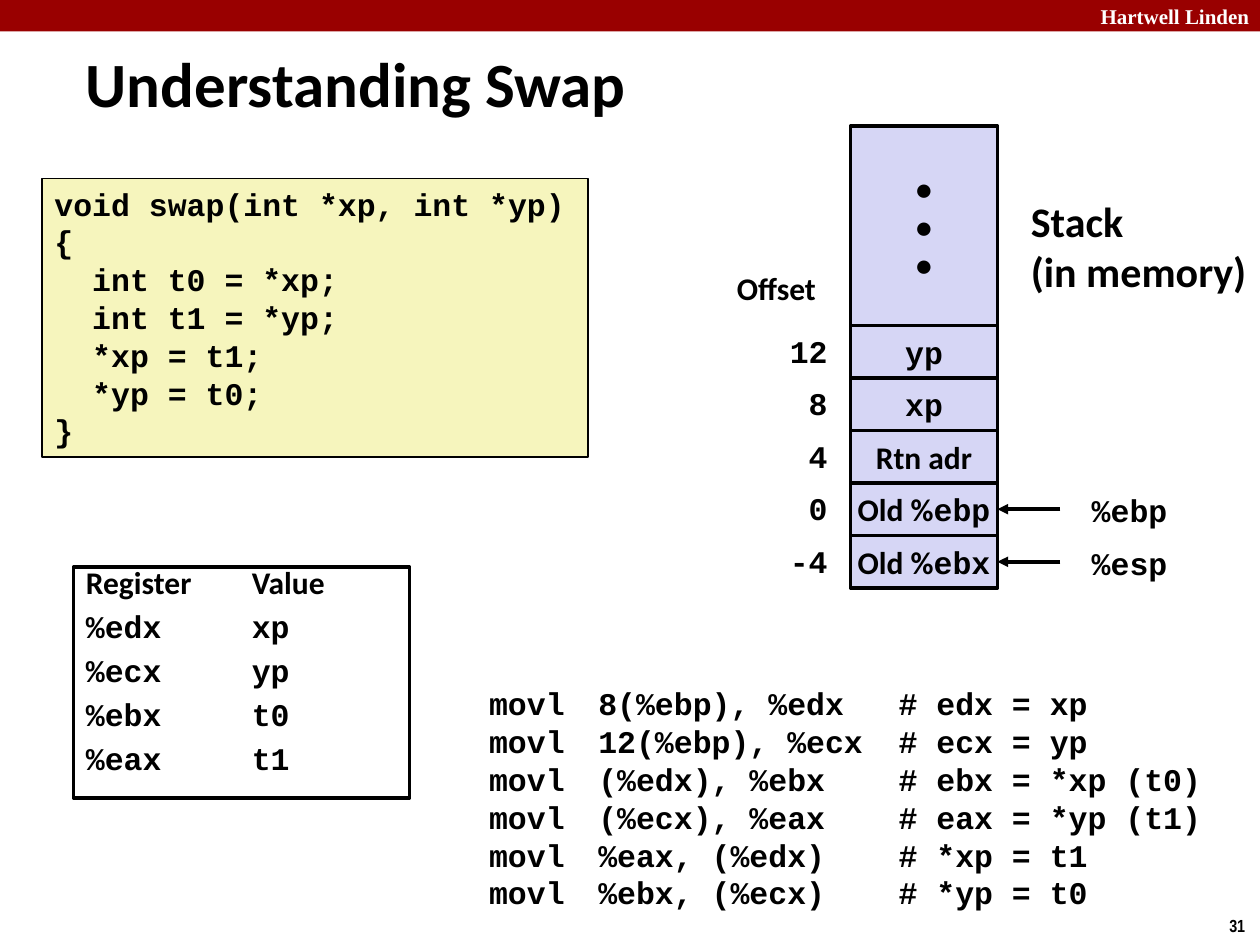
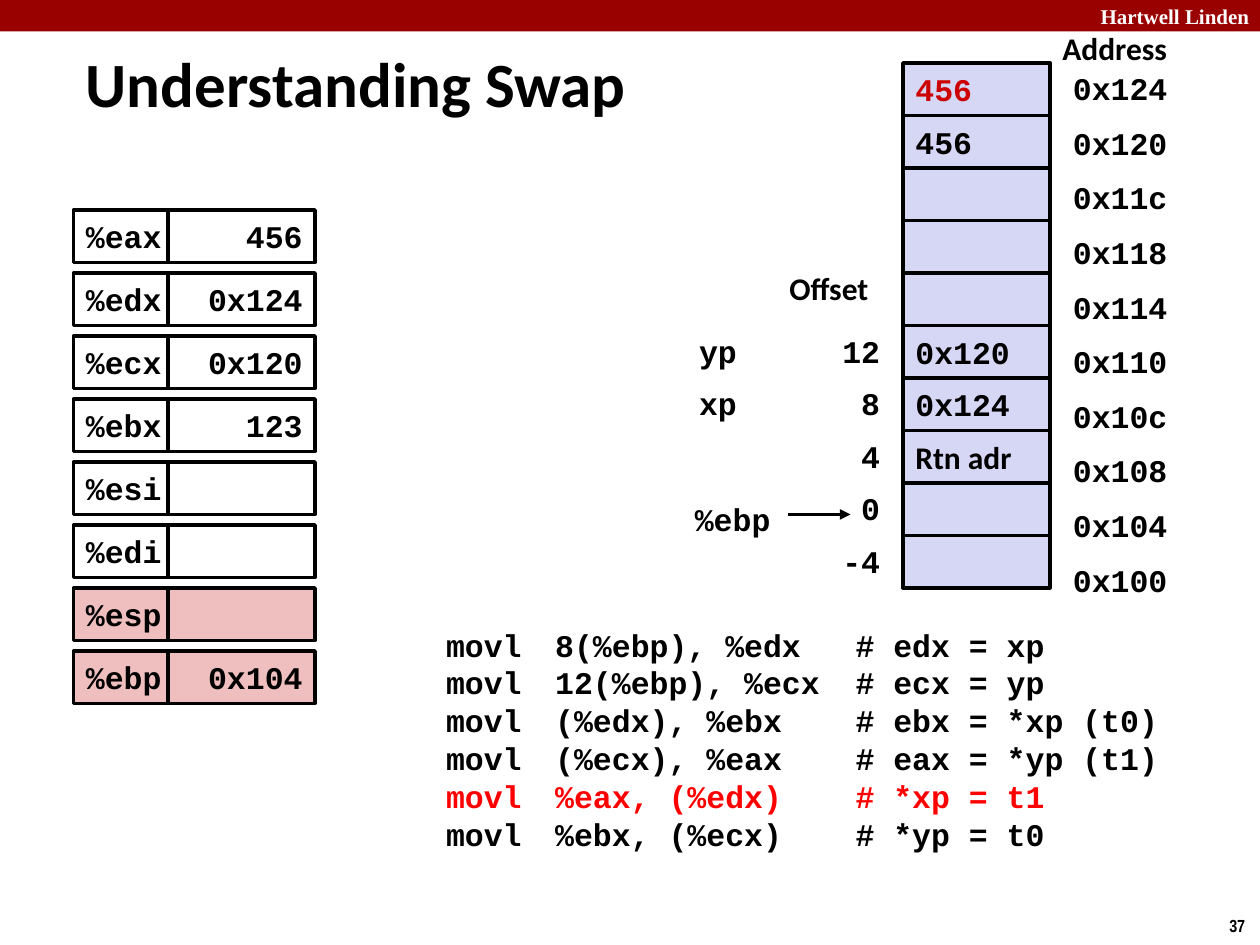
from pptx import Presentation
from pptx.dml.color import RGBColor
from pptx.enum.shapes import MSO_CONNECTOR, MSO_SHAPE
from pptx.enum.text import MSO_ANCHOR, PP_ALIGN
from pptx.oxml.ns import qn
from pptx.oxml.xmlchemy import OxmlElement
from pptx.util import Pt

PX = 7620
RECT = MSO_SHAPE.RECTANGLE
STRAIGHT = MSO_CONNECTOR.STRAIGHT
TOP, MIDDLE = MSO_ANCHOR.TOP, MSO_ANCHOR.MIDDLE
LEFT, CENTER, RIGHT = PP_ALIGN.LEFT, PP_ALIGN.CENTER, PP_ALIGN.RIGHT

BLACK = RGBColor(0x00, 0x00, 0x00)
WHITE = RGBColor(0xFF, 0xFF, 0xFF)
BAND_RED = RGBColor(0x99, 0x00, 0x00)
CODE_YELLOW = RGBColor(0xF6, 0xF5, 0xBD)
STACK_BLUE = RGBColor(0xD6, 0xD6, 0xF5)
POINTER_PINK = RGBColor(0xEF, 0xBF, 0xBF)
CHANGED_RED = RGBColor(0xCC, 0x00, 0x00)
CURRENT_RED = RGBColor(0xFF, 0x00, 0x00)

CODE = {"name": "Courier New", "size": Pt(18), "bold": True}
LABEL = {**CODE, "name": "Calibri"}
HEADING = {**LABEL, "size": Pt(24)}
TITLE = {**LABEL, "size": Pt(36)}
BRAND = {"name": "Times New Roman", "size": Pt(12), "bold": True, "color": WHITE}
PAGE = {"name": "Arial Narrow", "size": Pt(10), "bold": True}

ROW, CELL_WIDTH, LABEL_HEIGHT = 50, 140, 48
OFFSETS = ["12", "8", "4", "0", "-4"]
ASSEMBLY = [
    "movl\t8(%ebp), %edx\t# edx = xp",
    "movl\t12(%ebp), %ecx\t# ecx = yp",
    "movl\t(%edx), %ebx\t# ebx = *xp (t0)",
    "movl\t(%ecx), %eax\t# eax = *yp (t1)",
    "movl\t%eax, (%edx)\t# *xp = t1",
    "movl\t%ebx, (%ecx)\t# *yp = t0",
]
SWAP_SOURCE = [
    (0, "void swap(int *xp, int *yp)"),
    (0, "{"),
    (1, "int t0 = *xp;"),
    (1, "int t1 = *yp;"),
    (1, "*xp = t1;"),
    (1, "*yp = t0;"),
    (0, "}"),
]
REGISTER_ROLES = ["%edx\txp", "%ecx\typ", "%ebx\tt0", "%eax\tt1"]
REGISTERS = {
    "%eax": "456", "%edx": "0x124", "%ecx": "0x120", "%ebx": "123",
    "%esi": "", "%edi": "", "%esp": "", "%ebp": "0x104",
}
POINTERS = ("%esp", "%ebp")


def assign(target, values):
    """Set each named attribute of the target."""
    for name, value in values.items():
        setattr(target, name, value)


def write(shape, paragraphs, anchor=TOP, wrap=True, tabs=(), **layout):
    """Fill a shape with paragraphs, each a list of (text, style) runs."""
    frame = shape.text_frame
    assign(frame, {"word_wrap": wrap, "vertical_anchor": anchor})
    for index, runs in enumerate(paragraphs):
        paragraph = frame.paragraphs[0] if index == 0 else frame.add_paragraph()
        assign(paragraph, {"alignment": LEFT, **layout})
        if tabs:
            stops = OxmlElement("a:tabLst")
            for position in tabs:
                stop = OxmlElement("a:tab")
                stop.set("pos", str(position * PX))
                stop.set("algn", "l")
                stops.append(stop)
            paragraph._p.get_or_add_pPr().append(stops)
        for text, style in runs:
            run = paragraph.add_run()
            run.text = text
            assign(run.font, {k: v for k, v in style.items() if k != "color"})
            run.font.color.rgb = style.get("color", BLACK)
    return frame


def label(slide, box, text, style=CODE, **options):
    """Place one line or several lines of free text in a box."""
    area = slide.shapes.add_textbox(*(length * PX for length in box))
    return write(area, [[(line, style)] for line in text.split("\n")], **options)


def panel(slide, box, fill=None, line=2):
    """Draw a flat rectangle with an optional fill and outline."""
    shape = slide.shapes.add_shape(RECT, *(length * PX for length in box))
    shape.shadow.inherit = False
    if fill is None:
        shape.fill.background()
    else:
        shape.fill.solid()
        shape.fill.fore_color.rgb = fill
    if line:
        shape.line.color.rgb = BLACK
        shape.line.width = Pt(line)
    else:
        shape.line.fill.background()
    return shape


def arrow(slide, start, end, y):
    """Draw a level arrow from start to end."""
    points = (start, y, end, y)
    connector = slide.shapes.add_connector(STRAIGHT, *(p * PX for p in points))
    connector.line.color.rgb = BLACK
    connector.line.width = Pt(2)
    properties = connector.element.spPr
    head = OxmlElement("a:tailEnd")
    head.set("type", "triangle")
    properties.find(qn("a:ln")).append(head)
    properties.append(OxmlElement("a:effectLst"))


def base_slide(deck, number):
    """Add a slide with the band, title and page number."""
    slide = deck.slides.add_slide(deck.slide_layouts[6])
    band = panel(slide, (0, 0, 1200, 30), BAND_RED, line=0)
    frame = write(band, [[("Hartwell Linden", BRAND)]], MIDDLE, alignment=RIGHT)
    assign(frame, {"margin_top": 0, "margin_bottom": 0, "margin_right": 10 * PX})
    label(slide, (70, 40, 836, 76), "Understanding Swap", TITLE, anchor=MIDDLE)
    label(slide, (1159, 866, 41, 32), str(number), PAGE)
    return slide


def stack(slide, left, top, cells, alignment):
    """Draw stack cells downwards, each holding a list of runs."""
    for index, runs in enumerate(cells):
        cell = panel(slide, (left, top + index * ROW, CELL_WIDTH, ROW), STACK_BLUE)
        if runs:
            write(cell, [runs], MIDDLE, wrap=False, alignment=alignment)


def offset_column(slide, stack_left, top):
    """Write the frame offsets to the left of the stack."""
    label(slide, (stack_left - 120, top - 60, 110, LABEL_HEIGHT), "Offset", LABEL)
    for index, offset in enumerate(OFFSETS):
        box = (stack_left - 70, top + index * ROW, 60, LABEL_HEIGHT)
        label(slide, box, offset, alignment=RIGHT)


def assembly(slide, left, top, current=None):
    """List the instructions, with the current one in red."""
    area = slide.shapes.add_textbox(left * PX, top * PX, 780 * PX, 230 * PX)
    lines = [
        [("\t" + line, {**CODE, "color": CURRENT_RED if index == current else BLACK})]
        for index, line in enumerate(ASSEMBLY)
    ]
    write(area, lines, tabs=(53, 157, 443))


def swap_source(slide, box):
    """Show the C function with its body indented."""
    source = panel(slide, box, CODE_YELLOW, line=1)
    frame = write(source, [[(line, CODE)] for _, line in SWAP_SOURCE])
    for paragraph, (depth, _) in zip(frame.paragraphs, SWAP_SOURCE):
        paragraph._p.get_or_add_pPr().set("marL", str(depth * 36 * PX))


def register_roles(slide, box):
    """List which variable each register holds."""
    rows = [[("Register\tValue", LABEL)]] + [[(role, CODE)] for role in REGISTER_ROLES]
    frame = write(panel(slide, box), rows, tabs=(158,),
                  line_spacing=0.7, space_before=Pt(10))
    frame.paragraphs[0].space_before = Pt(0)


def register_file(slide, left, top):
    """Draw the registers with their current values."""
    for index, (register, value) in enumerate(REGISTERS.items()):
        fill = POINTER_PINK if register in POINTERS else WHITE
        y = top + index * 60
        name_cell = panel(slide, (left, y, 90, ROW), fill)
        write(name_cell, [[(register, CODE)]], MIDDLE, wrap=False)
        value_cell = panel(slide, (left + 90, y, CELL_WIDTH, ROW), fill)
        if value:
            write(value_cell, [[(value, CODE)]], MIDDLE, wrap=False, alignment=RIGHT)


def address_column(slide, left, top):
    """Write the memory addresses from high to low."""
    label(slide, (left - 10, top - 38, 140, LABEL_HEIGHT), "Address", LABEL)
    for index in range(10):
        address = f"0x{0x124 - 4 * index:x}"
        label(slide, (left, top + index * 52, 160, LABEL_HEIGHT), address)


def frame_slide(deck):
    """Build the slide on the stack frame of swap."""
    slide = base_slide(deck, 31)
    left, top = 810, 310
    swap_source(slide, (40, 170, 520, 265))
    label(slide, (970, 180, 230, 110), "Stack\n(in memory)", HEADING, wrap=False)
    register_roles(slide, (70, 540, 320, 220))
    earlier = panel(slide, (left, 120, CELL_WIDTH, 190), STACK_BLUE)
    write(earlier, [[("•", LABEL)]] * 3, MIDDLE, wrap=False, alignment=CENTER)
    cells = [
        [("yp", CODE)], [("xp", CODE)], [("Rtn adr", LABEL)],
        [("Old %", LABEL), ("ebp", CODE)], [("Old %", LABEL), ("ebx", CODE)],
    ]
    stack(slide, left, top, cells, CENTER)
    offset_column(slide, left, top)
    for index, pointer in enumerate(("%ebp", "%esp")):
        y = top + (3 + index) * ROW
        arrow(slide, left + 200, left + CELL_WIDTH, y + 25)
        label(slide, (left + 218, y + 2, 110, LABEL_HEIGHT), pointer)
    assembly(slide, 401, 646)


def step_slide(deck):
    """Build the slide on the step that stores t1 at xp."""
    slide = base_slide(deck, 37)
    left, top, frame_top = 860, 60, 310
    cells = [
        [("456", {**CODE, "color": CHANGED_RED})], [("456", CODE)], [], [], [],
        [("0x120", CODE)], [("0x124", CODE)], [("Rtn adr", LABEL)], [], [],
    ]
    stack(slide, left, top, cells, LEFT)
    offset_column(slide, left, frame_top)
    address_column(slide, left + 150, top)
    for index, argument in enumerate(("yp", "xp")):
        label(slide, (654, frame_top + index * ROW, 86, LABEL_HEIGHT), argument)
    label(slide, (650, 470, 110, LABEL_HEIGHT), "%ebp")
    arrow(slide, 750, 810, 490)
    register_file(slide, 70, 200)
    assembly(slide, 360, 590, current=4)


def main():
    """Build and save the deck."""
    deck = Presentation()
    assign(deck, {"slide_width": 1200 * PX, "slide_height": 900 * PX})
    frame_slide(deck)
    step_slide(deck)
    deck.save("out.pptx")


if __name__ == "__main__":
    main()
